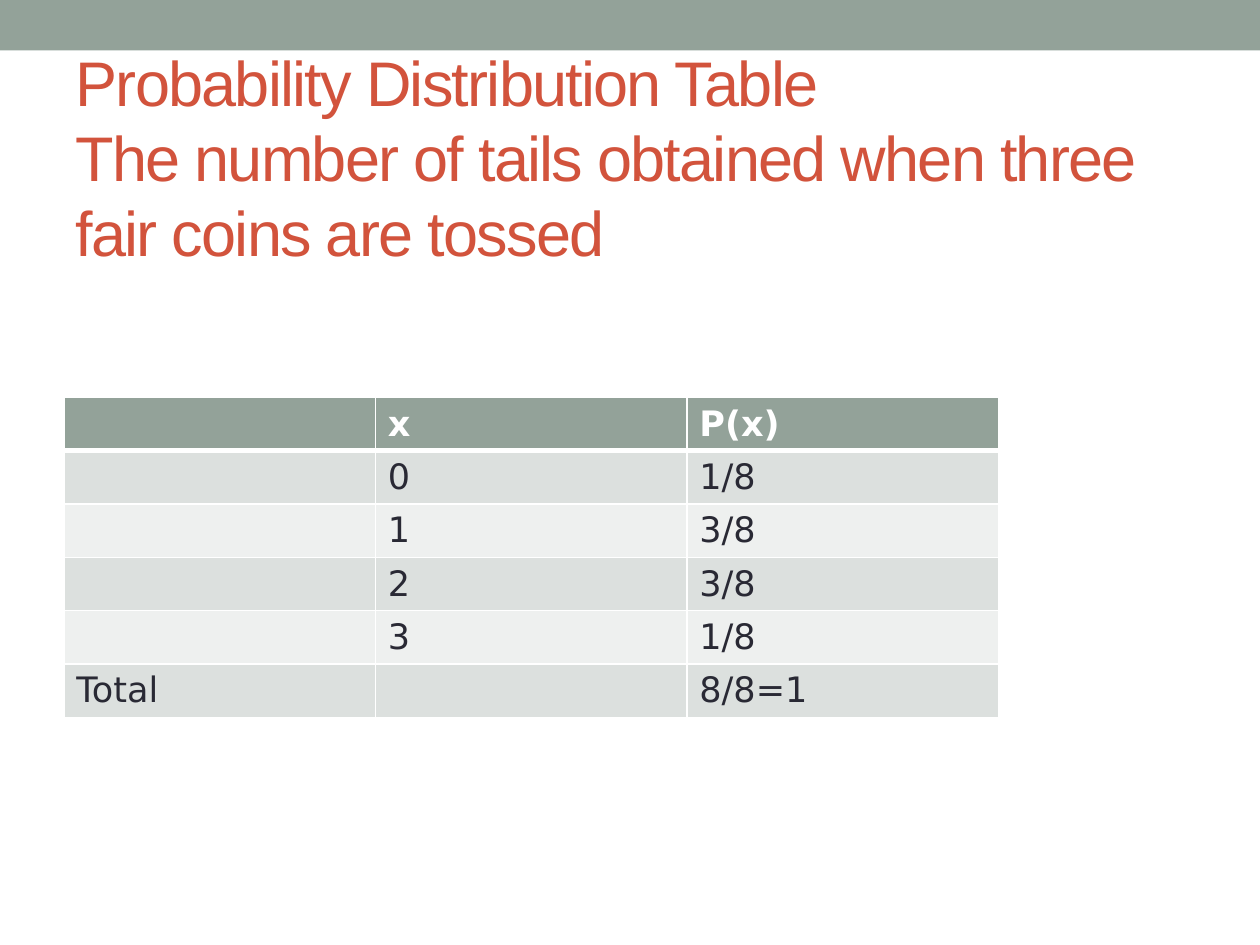
from lxml.etree import SubElement
from pptx import Presentation
from pptx.dml.color import RGBColor
from pptx.enum.shapes import MSO_SHAPE
from pptx.enum.text import MSO_ANCHOR, MSO_AUTO_SIZE, PP_ALIGN
from pptx.oxml.ns import qn
from pptx.util import Pt

COLORS = {
    "sage": "93A299",
    "title": "D2533C",
    "text": "292934",
    "band_dark": "DCE0DE",
    "band_light": "EEF0EF",
    "white": "FFFFFF",
}
TITLE_FONT = "Arial"
TABLE_FONT = "DejaVu Sans"
TITLE = ("Probability Distribution Table\v"
         "The number of tails obtained when three fair coins are tossed")
DISTRIBUTION = [
    ("", "x", "P(x)"),
    ("", "0", "1/8"),
    ("", "1", "3/8"),
    ("", "2", "3/8"),
    ("", "3", "1/8"),
    ("Total", "", "8/8=1"),
]


class SlideBuilder:
    def __init__(self, slide):
        self.slide = slide

    def color(self, name):
        return RGBColor.from_string(COLORS[name])

    def format_font(self, font, name, size, color, bold=False):
        font.name = name
        font.size = Pt(size)
        font.bold = bold
        font.color.rgb = self.color(color)

    def bar(self, left, top, width, height):
        shape = self.slide.shapes.add_shape(
            MSO_SHAPE.RECTANGLE, Pt(left), Pt(top), Pt(width), Pt(height))
        shape.shadow.inherit = False
        shape.fill.solid()
        shape.fill.fore_color.rgb = self.color("sage")
        shape.line.fill.background()

    def title(self, text, left, top, width, height):
        title = self.slide.shapes.title
        title.left, title.top = Pt(left), Pt(top)
        title.width, title.height = Pt(width), Pt(height)
        frame = title.text_frame
        frame.text = text
        frame.word_wrap = True
        frame.auto_size = MSO_AUTO_SIZE.NONE
        frame.vertical_anchor = MSO_ANCHOR.MIDDLE
        frame.margin_bottom = Pt(46.6)
        paragraph = frame.paragraphs[0]
        paragraph.alignment = PP_ALIGN.LEFT
        paragraph.line_spacing = Pt(43)
        for run in paragraph.runs:
            self.format_font(run.font, TITLE_FONT, 36, "title")
            run.font._element.set("spc", "-100")

    def borders(self, cell, bottom_width):
        properties = cell._tc.get_or_add_tcPr()
        widths = {"a:lnL": 1, "a:lnR": 1, "a:lnT": 1, "a:lnB": bottom_width}
        for index, (tag, width) in enumerate(widths.items()):
            line = properties.makeelement(qn(tag), {"w": str(Pt(width))})
            fill = SubElement(line, qn("a:solidFill"))
            SubElement(fill, qn("a:srgbClr"), val=COLORS["white"])
            properties.insert(index, line)

    def table(self, rows, left, top, column_width, row_height):
        column_count = len(rows[0])
        table = self.slide.shapes.add_table(
            len(rows), column_count, Pt(left), Pt(top),
            Pt(column_width * column_count), Pt(row_height * len(rows))).table
        for row_index, values in enumerate(rows):
            header = row_index == 0
            band = "band_dark" if row_index % 2 else "band_light"
            for column_index, value in enumerate(values):
                cell = table.cell(row_index, column_index)
                cell.text = value
                cell.fill.solid()
                cell.fill.fore_color.rgb = self.color("sage" if header else band)
                self.format_font(cell.text_frame.paragraphs[0].font, TABLE_FONT, 20,
                                 "white" if header else "text", header)
                for run in cell.text_frame.paragraphs[0].runs:
                    self.format_font(run.font, TABLE_FONT, 20,
                                     "white" if header else "text", header)
                after_header = row_index == 1
                self.borders(cell, 3 if header else 1)
                if after_header:
                    cell._tc.tcPr.find(qn("a:lnT")).set("w", str(Pt(3)))


def main():
    presentation = Presentation()
    presentation.slide_width, presentation.slide_height = Pt(720), Pt(540)
    slide = presentation.slides.add_slide(presentation.slide_layouts[5])
    builder = SlideBuilder(slide)
    builder.bar(0, 0, 720, 28.8)
    builder.title(TITLE, 36, 72, 648, 78)
    builder.table(DISTRIBUTION, 36.5, 227, 178, 29.2)
    presentation.save("out.pptx")


if __name__ == "__main__":
    main()
